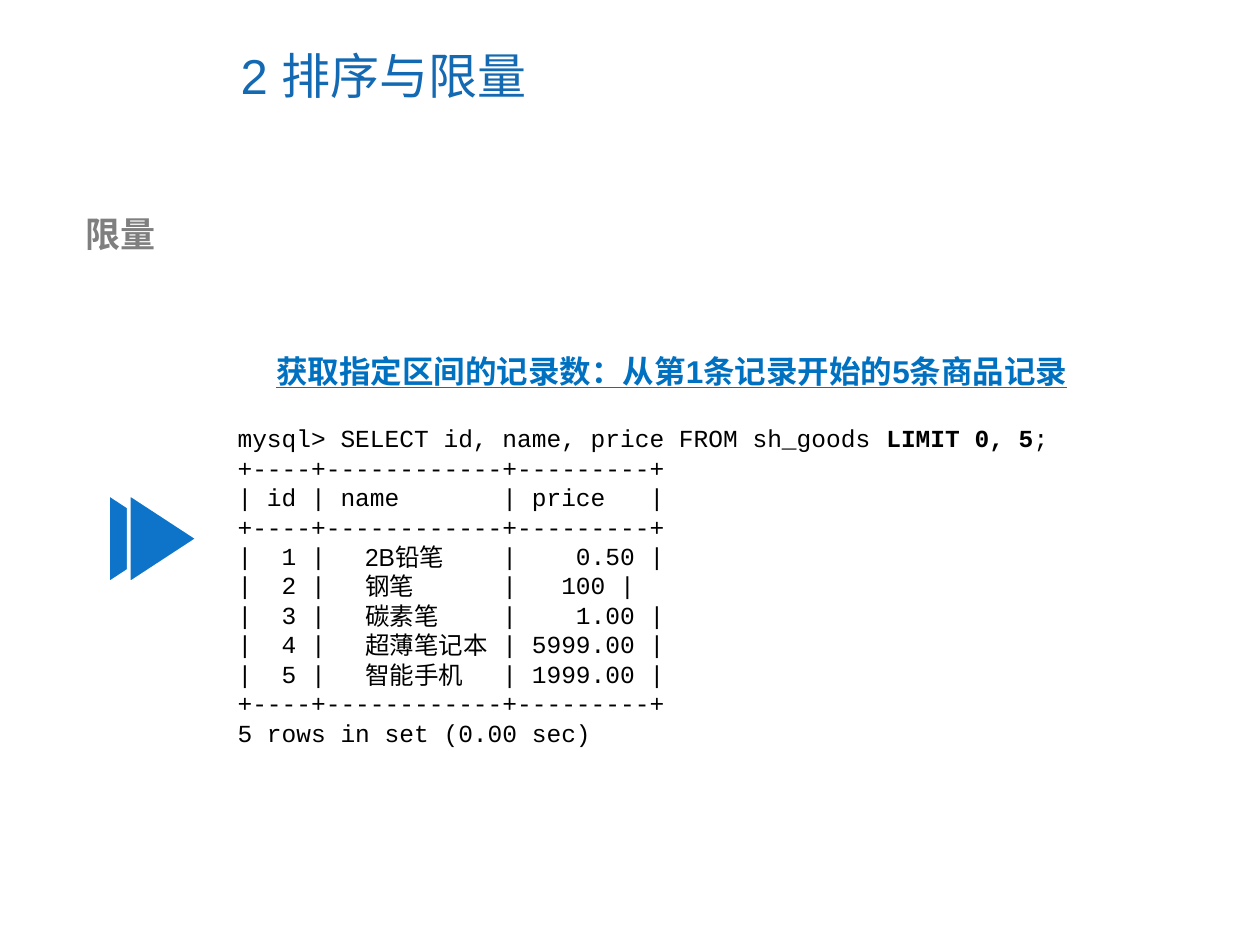
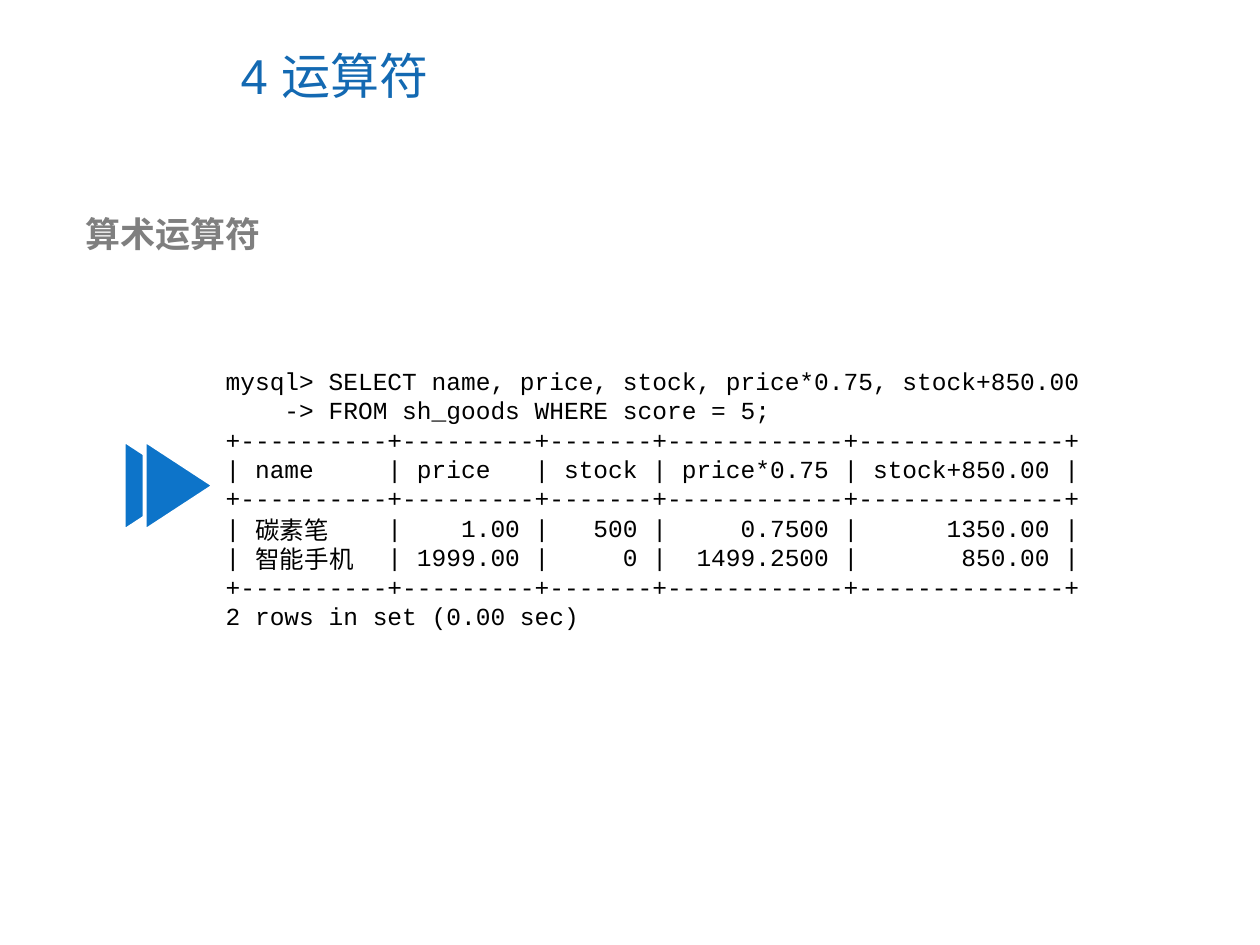
from lxml.etree import SubElement
from pptx import Presentation
from pptx.dml.color import RGBColor
from pptx.enum.shapes import MSO_SHAPE
from pptx.enum.text import MSO_ANCHOR
from pptx.oxml.ns import qn
from pptx.util import Cm, Pt

# Content; positions are (left, top, width, height) in cm
LESSONS = [
    {
        "title": "2 排序与限量",
        "topic": "限量",
        "caption": "获取指定区间的记录数：从第1条记录开始的5条商品记录",
        "arrow": (1.96, 10.16),
        "code_box": (4.54, 8.41, 20.07, 6.78),
        "emphasis": "LIMIT 0, 5",
        "code": [
            "mysql> SELECT id, name, price FROM sh_goods LIMIT 0, 5;",
            "+----+------------+---------+",
            "| id | name       | price   |",
            "+----+------------+---------+",
            "|  1 |            |    0.50 |",
            "|  2 |            |   100 |",
            "|  3 |            |    1.00 |",
            "|  4 |            | 5999.00 |",
            "|  5 |            | 1999.00 |",
            "+----+------------+---------+",
            "5 rows in set (0.00 sec)",
        ],
        "goods_box": (7.11, 10.8, 3.3, 3.23),
        "goods": ["2B铅笔", "钢笔", "碳素笔", "超薄笔记本", "智能手机"],
    },
    {
        "title": "4 运算符",
        "topic": "算术运算符",
        "arrow": (2.28, 9.09),
        "code_box": (4.3, 7.25, 18.6, 5.59),
        "code": [
            "mysql> SELECT name, price, stock, price*0.75, stock+850.00",
            "    -> FROM sh_goods WHERE score = 5;",
            "+----------+---------+-------+------------+--------------+",
            "| name     | price   | stock | price*0.75 | stock+850.00 |",
            "+----------+---------+-------+------------+--------------+",
            "|          |    1.00 |   500 |     0.7500 |      1350.00 |",
            "|          | 1999.00 |     0 |  1499.2500 |       850.00 |",
            "+----------+---------+-------+------------+--------------+",
            "2 rows in set (0.00 sec)",
        ],
        "goods_box": (4.9, 10.25, 3.28, 1.45),
        "goods": ["碳素笔", "智能手机"],
    },
]

# Shared style
COLORS = {"title": "1369B2", "topic": "7F7F7F", "caption": "0070C0",
          "arrow": "0D74C9", "text": "000000", "edge": "FFFFFF"}
SANS, MONO = "Arial", "Courier New"
TITLE_BOX = (4.6, 0.43, 13.11, 2.16)
TOPIC_BOX = (1.48, 4.16, 12.8, 1.12)
CAPTION_BOX = (5.32, 6.98, 17.6, 1.02)
LISTING_PITCH = 16.8
ARROW_SIZE, ARROW_STEP = (1.83, 1.4), 0.42


def color(name):
    return RGBColor.from_string(COLORS[name])


def style_run(run, size, tint, face, bold=False):
    font = run.font
    font.size, font.bold, font.name = Pt(size), bold, face
    font.color.rgb = color(tint)
    SubElement(font._element, qn("a:ea")).set("typeface", SANS)


def add_text(slide, box, lines, size, tint="text", face=SANS, bold=False,
             pitch=None, emphasis=None):
    frame = slide.shapes.add_textbox(*map(Cm, box)).text_frame
    frame.word_wrap = True
    for index, line in enumerate(lines):
        paragraph = frame.paragraphs[0] if index == 0 else frame.add_paragraph()
        if pitch:
            paragraph.line_spacing = Pt(pitch)
        pieces = line.partition(emphasis) if emphasis else (line,)
        for piece in filter(None, pieces):
            run = paragraph.add_run()
            run.text = piece
            style_run(run, size, tint, face, bold or piece == emphasis)
    return frame


def add_double_arrow(slide, left, top):
    for step in range(2):
        triangle = slide.shapes.add_shape(
            MSO_SHAPE.ISOSCELES_TRIANGLE, Cm(left + step * ARROW_STEP), Cm(top),
            *map(Cm, ARROW_SIZE))
        triangle.rotation = 90
        triangle.shadow.inherit = False
        triangle.fill.solid()
        triangle.fill.fore_color.rgb = color("arrow")
        triangle.line.color.rgb = color("edge")
        triangle.line.width = Pt(2.25)


def add_lesson(deck, lesson):
    slide = deck.slides.add_slide(deck.slide_layouts[6])

    # Title and topic
    title = add_text(slide, TITLE_BOX, [lesson["title"]], 28, "title")
    title.vertical_anchor = MSO_ANCHOR.MIDDLE
    add_text(slide, TOPIC_BOX, [lesson["topic"]], 20, "topic", bold=True)

    # Marker beside the listing
    add_double_arrow(slide, *lesson["arrow"])

    # Caption, query listing and the goods names laid over its name column
    if "caption" in lesson:
        caption = add_text(slide, CAPTION_BOX, [lesson["caption"]], 18,
                           "caption", bold=True)
        caption.paragraphs[0].runs[0].font.underline = True
    add_text(slide, lesson["code_box"], lesson["code"], 14, face=MONO,
             pitch=LISTING_PITCH, emphasis=lesson.get("emphasis"))
    add_text(slide, lesson["goods_box"], lesson["goods"], 14,
             pitch=LISTING_PITCH)


def main():
    deck = Presentation()
    deck.slide_width, deck.slide_height = Cm(25.4), Cm(19.05)
    for lesson in LESSONS:
        add_lesson(deck, lesson)
    deck.save("out.pptx")


if __name__ == "__main__":
    main()
